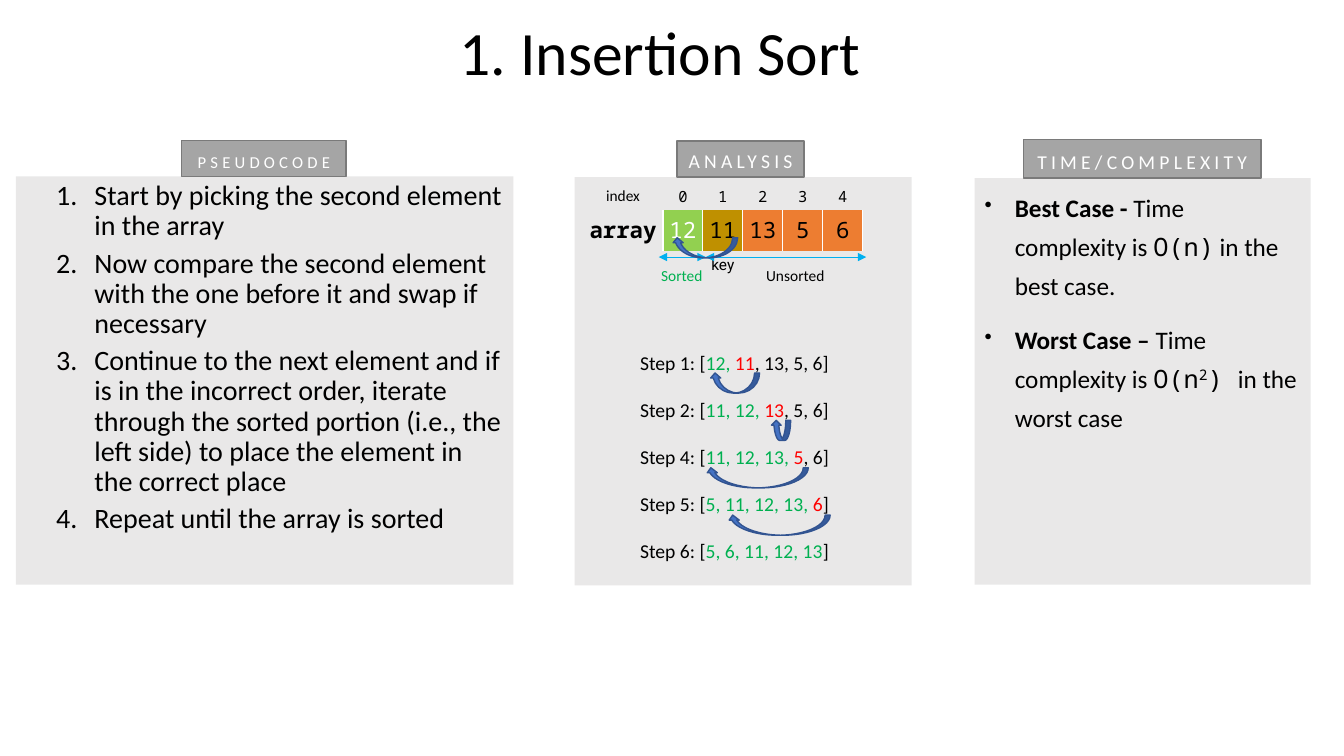
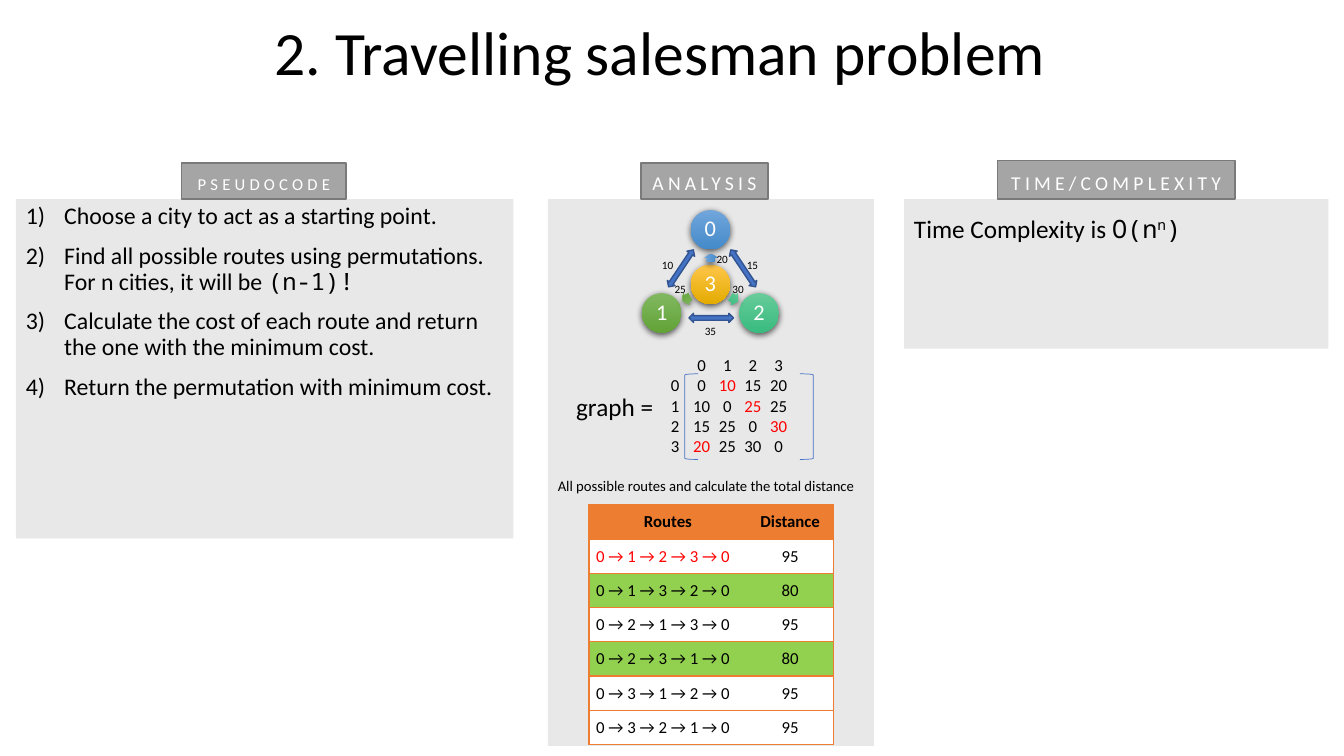
from dataclasses import dataclass
from itertools import permutations
from typing import NamedTuple, Optional

from lxml import etree
from pptx import Presentation
from pptx.dml.color import RGBColor
from pptx.enum.shapes import MSO_CONNECTOR, MSO_SHAPE
from pptx.enum.text import MSO_ANCHOR, PP_ALIGN
from pptx.oxml.ns import qn
from pptx.util import Emu, Inches, Pt

RECT, OVAL = MSO_SHAPE.RECTANGLE, MSO_SHAPE.OVAL
CURVE, BOTH, RIGHT = MSO_SHAPE.CURVED_DOWN_ARROW, MSO_SHAPE.LEFT_RIGHT_ARROW, MSO_SHAPE.RIGHT_ARROW
OPEN, CLOSE = MSO_SHAPE.LEFT_BRACKET, MSO_SHAPE.RIGHT_BRACKET
STRAIGHT = MSO_CONNECTOR.STRAIGHT
TOP, MIDDLE, BOTTOM = MSO_ANCHOR.TOP, MSO_ANCHOR.MIDDLE, MSO_ANCHOR.BOTTOM
LEFT, CENTER = PP_ALIGN.LEFT, PP_ALIGN.CENTER

BLACK, WHITE = RGBColor(0, 0, 0), RGBColor(255, 255, 255)
PALE, GREY, EDGE = RGBColor(0xE9, 0xE8, 0xE8), RGBColor(0xA5, 0xA5, 0xA5), RGBColor(0x7A, 0x7A, 0x7A)
RED, GREEN, LIME = RGBColor(0xFF, 0, 0), RGBColor(0, 0xB0, 0x50), RGBColor(0x92, 0xD0, 0x50)
ORANGE, OCHRE = RGBColor(0xED, 0x7D, 0x31), RGBColor(0xBF, 0x90, 0)
BLUE, NAVY, CYAN = RGBColor(0x44, 0x72, 0xC4), RGBColor(0x32, 0x54, 0x91), RGBColor(0, 0xB0, 0xF0)
SANS, MONO, KEY_FONT = "Calibri", "Noto Sans Mono", "Roboto"
PLAIN = "{2D5ABB26-0587-4C30-8999-92F81FD0307C}"

deck = Presentation()
deck.slide_width, deck.slide_height = Inches(13.33), Inches(7.5)
CELL = deck.slide_height / 90  # a square grid, 160 columns by 90 rows


class Bit(NamedTuple):
    """A stretch of text in one look."""
    text: str
    color: RGBColor = BLACK
    bold: bool = False
    font: str = SANS
    raised: bool = False


class Box(NamedTuple):
    """Left, top, width and height in grid cells."""
    left: float
    top: float
    wide: float
    high: float


class Look(NamedTuple):
    """Paragraph layout: points for sizes and gaps, inches for indents."""
    size: float
    align: PP_ALIGN = LEFT
    lead: float = 1.0
    before: float = 0
    after: float = 0
    mark: str = ""
    kind: str = ""
    margin: float = 0
    hang: float = 0


@dataclass
class Panel:
    """A grey panel with its tag on top."""
    tag: str
    box: Box
    tag_left: float
    tag_wide: float
    tag_high: float = 4.3
    tag_size: float = 14


class Node(NamedTuple):
    """A city, with the light and dark end of its gradient."""
    name: str
    left: float
    top: float
    light: str
    dark: str


def grid(*cells: float) -> list[Emu]:
    """Turn grid cells into lengths."""
    return [Emu(round(n * CELL)) for n in cells]


def add(parent, tag: str, **attrs: str):
    """Append an element of the drawing namespace."""
    return etree.SubElement(parent, qn("a:" + tag), attrs)


def write(par, bits: list[Bit], look: Look) -> None:
    """Fill a paragraph with bits and lay it out."""
    for bit in bits:
        run = par.add_run()
        run.text = bit.text
        run.font.name, run.font.size = bit.font, Pt(look.size)
        run.font.bold, run.font.color.rgb = bit.bold, bit.color
        if bit.raised:
            run.font._element.set("baseline", "30000")
    par.alignment, par.line_spacing = look.align, look.lead
    par.space_before, par.space_after = Pt(look.before), Pt(look.after)
    if look.kind:
        props = par._p.get_or_add_pPr()
        props.set("marL", str(Inches(look.margin)))
        props.set("indent", str(Inches(-look.hang)))
        if look.kind == "buChar":
            add(props, "buSzPct", val="85000")
            add(props, "buChar", char=look.mark)
        else:
            add(props, "buAutoNum", type=look.mark)


def fill_text(frame, lines: list[list[Bit]], look: Look, anchor: MSO_ANCHOR = TOP, wrap: bool = True) -> None:
    """Write lines into a text frame, one paragraph each."""
    frame.word_wrap, frame.vertical_anchor = wrap, anchor
    for n, bits in enumerate(lines):
        write(frame.add_paragraph() if n else frame.paragraphs[0], bits, look)


def label(slide, box: Box, lines: list[list[Bit]], look: Look) -> None:
    """Place a text box."""
    fill_text(slide.shapes.add_textbox(*grid(*box)).text_frame, lines, look)


def shape(slide, kind: MSO_SHAPE, box: Box, fill: Optional[RGBColor] = None,
          line: Optional[RGBColor] = None, weight: float = 1, turn: float = 0):
    """Draw a preset shape without shadow."""
    item = slide.shapes.add_shape(kind, *grid(*box))
    item.shadow.inherit = False
    item.rotation = turn
    if fill is None:
        item.fill.background()
    else:
        item.fill.solid()
        item.fill.fore_color.rgb = fill
    if line is None:
        item.line.fill.background()
    else:
        item.line.color.rgb, item.line.width = line, Pt(weight)
    return item


def glow(item, light: str, dark: str) -> None:
    """Give a shape a downward gradient and a soft shadow."""
    item.fill.gradient()
    item.fill.gradient_angle = 270
    for stop, shade, place in zip(item.fill.gradient_stops, (light, dark), (0, 1)):
        stop.color.rgb, stop.position = RGBColor.from_string(shade), place
    effects = item._element.spPr.find(qn("a:effectLst"))
    cast = add(effects, "outerShdw", blurRad="57150", dist="19050", dir="5400000", algn="ctr", rotWithShape="0")
    add(add(cast, "srgbClr", val="000000"), "alpha", val="63000")


def span(slide, start: float, end: float, row: float) -> None:
    """Draw a level line with an arrowhead at each end."""
    line = slide.shapes.add_connector(STRAIGHT, *grid(start, row, end, row))
    line.line.color.rgb, line.line.width = CYAN, Pt(0.5)
    for end_tag in ("headEnd", "tailEnd"):
        add(line.line._get_or_add_ln(), end_tag, type="triangle")
    add(line._element.spPr, "effectLst")


def table(slide, left: float, top: float, cols: list[float], rows: list[float]):
    """Add a table without style."""
    frame = slide.shapes.add_table(len(rows), len(cols), *grid(left, top, sum(cols), sum(rows)))
    item = frame.table
    item.first_row = item.horz_banding = False
    item._tbl.tblPr.find(qn("a:tableStyleId")).text = PLAIN
    for tracks, sizes, side in ((item.columns, cols, "width"), (item.rows, rows, "height")):
        for track, size in zip(tracks, grid(*sizes)):
            setattr(track, side, size)
    return item


def put(cell, bit: Bit, look: Look, pad: float, fill: Optional[RGBColor] = None,
        edge: Optional[RGBColor] = None, sides: str = "LRTB") -> None:
    """Fill one table cell, with borders on the given sides."""
    cell.margin_left = cell.margin_right = cell.margin_top = cell.margin_bottom = Inches(pad)
    par = cell.text_frame.paragraphs[0]
    if bit.text:
        write(par, [bit], look)
    else:
        par._p.get_or_add_endParaRPr().set("sz", str(look.size * 100))
    for side in sides if edge is not None else "":
        line = add(cell._tc.get_or_add_tcPr(), "ln" + side, w=str(Pt(1)))
        add(add(line, "solidFill"), "srgbClr", val=str(edge))
    if fill is None:
        cell.fill.background()
    else:
        cell.fill.solid()
        cell.fill.fore_color.rgb = fill


def begin(title: str, panels: list[Panel]) -> tuple:
    """Start a slide with its title and panels; return it and the panel shapes."""
    slide = deck.slides.add_slide(deck.slide_layouts[5])
    head = slide.shapes.title
    head.left, head.top, head.width, head.height = grid(18, 1.2, 121.2, 10.8)
    fill_text(head.text_frame, [[Bit(title)]], Look(44, CENTER, 0.9), MIDDLE)
    bodies = []
    for panel in panels:
        bodies.append(shape(slide, RECT, panel.box, PALE))
        spot = Box(panel.tag_left, panel.box.top - panel.tag_high, panel.tag_wide, panel.tag_high)
        tag = shape(slide, RECT, spot, GREY, EDGE)
        lead = 0.8 if panel.tag_size < 14 else 1
        fill_text(tag.text_frame, [[Bit(panel.tag, WHITE)]], Look(panel.tag_size, CENTER, lead, 10), BOTTOM, False)
        tag.text_frame.paragraphs[0].runs[0].font._element.set("spc", "300")
    return slide, bodies


def trio(top: float, pseudo: float, study: Box, study_tag: float, time: Box, time_tag: float) -> list[Panel]:
    """List the three panels that each slide has."""
    return [Panel("PSEUDOCODE", Box(1.9, top, 59.2, pseudo), 21.6, 19.6, tag_size=11.9),
            Panel("ANALYSIS", study, study_tag, 15.1),
            Panel("TIME/COMPLEXITY", time, time_tag, 28.3, 4.6)]


def sorting() -> None:
    """Build the insertion sort slide."""
    slide, (pseudo, _, time) = begin("1. Insertion Sort", trio(
        21, 48.6, Box(68.4, 21.1, 40.1, 48.6), 80.6, Box(116, 21.2, 40, 48.4), 121.8))
    fill_text(pseudo.text_frame, [[Bit(text)] for text in (
        "Start by picking the second element in the array",
        "Now compare the second element with the one before it and swap if necessary",
        "Continue to the next element and if is in the incorrect order, iterate through the sorted "
        "portion (i.e., the left side) to place the element in the correct place",
        "Repeat until the array is sorted")],
        Look(20, LEFT, 0.9, 5, 0, "arabicPeriod", "buAutoNum", 0.68, 0.38))
    fill_text(time.text_frame, [
        [Bit("Best Case -", bold=True), Bit(" Time complexity is "), Bit("O(n)", font=MONO),
         Bit(" in the best case.")],
        [Bit("Worst Case –", bold=True), Bit(" Time complexity is "), Bit("O(n", font=MONO),
         Bit("2", font=MONO, raised=True), Bit(") ", font=MONO), Bit("in the worst case")]],
        Look(18, LEFT, 1.3, 10, 0, "•", "buChar", 0.3, 0.3))

    steps = [("1", "12, ", "11", ", 13, 5, 6]"), ("2", "11, 12, ", "13", ", 5, 6]"),
             ("4", "11, 12, 13, ", "5", ", 6]"), ("5", "5, 11, 12, 13, ", "6", "]"),
             ("6", "5, 6, 11, 12, 13", "", "]")]
    label(slide, Box(75, 41.2, 28.8, 26.6), [
        [bit for bit in (Bit(f"Step {n}: ["), Bit(done, GREEN), Bit(key, RED), Bit(rest)) if bit.text]
        for n, done, key, rest in steps], Look(14, after=16.7))

    array = table(slide, 69.4, 21.6, [9.5] + [4.76] * 5, [3.4, 4.9, 3.4])
    small, large = Look(11, CENTER), Look(16, CENTER)
    fills = [None, LIME, OCHRE, ORANGE, ORANGE, ORANGE]
    for n, (name, value) in enumerate(zip(["index", *"01234"], ["array", "12", "11", "13", "5", "6"])):
        put(array.cell(0, n), Bit(name, font=MONO if n else SANS), small, 0.05)
        put(array.cell(1, n), Bit(value, WHITE if n == 1 else BLACK, n == 0, MONO), large, 0.05,
            fills[n], WHITE if n else None, "LR")
        put(array.cell(2, n), Bit("key" if n == 2 else "", font=KEY_FONT), small, 0.05)
    span(slide, 78.4, 84, 30.6)
    span(slide, 84, 103.1, 30.6)
    for word, left, color in (("Sorted", 77.5, GREEN), ("Unsorted", 90, BLACK)):
        label(slide, Box(left, 31.1, 12, 3.5), [[Bit(word, color)]], Look(11))
    shape(slide, CURVE, Box(80, 28.3, 7.8, 2.4), BLUE, NAVY, turn=180)
    for n, (left, wide) in enumerate([(84.5, 5.9), (91.8, 2.3), (84, 12.2), (86.6, 12.2)]):
        shape(slide, CURVE, Box(left, 44.4 + 5.64 * n, wide, 2.4), BLUE, NAVY, turn=180)


def network(slide) -> None:
    """Draw the four cities and the roads between them."""
    nodes = [Node("3", 82.2, 31.5, "FFC64B", "E3AB00"), Node("0", 82.2, 25, "71A6DB", "448ACA"),
             Node("2", 88, 34.9, "67CC9A", "39BB7F"), Node("1", 76.4, 34.9, "81B861", "62A336")]
    for node in nodes:
        disc = shape(slide, OVAL, Box(node.left, node.top, 4.7, 4.7), WHITE)
        glow(disc, node.light, node.dark)
        frame = disc.text_frame
        frame.margin_left = frame.margin_right = frame.margin_top = frame.margin_bottom = 0
        fill_text(frame, [[Bit(node.name, WHITE)]], Look(16, CENTER, 0.9), MIDDLE, False)
    for node, left, top, turn in zip(nodes[1:], (84.1, 86.9, 81.2), (29.9, 34.8, 34.8), (270, 30, 150)):
        spoke = shape(slide, RIGHT, Box(left, top, 1, 1.6), WHITE, turn=turn)
        spoke.adjustments[0] = 0.6
        glow(spoke, node.light, node.dark)
    for left, top, turn in ((85.8, 31.4, 56.2), (78.4, 31.4, 303.8), (82, 37.3, 0)):
        shape(slide, BOTH, Box(left, top, 5.3, 1.1), BLUE, NAVY, turn=turn)
    for cost, left, top in ((10, 77.6, 30.2), (15, 87.7, 30.2), (35, 82.7, 38),
                            (20, 84.1, 29.5), (30, 86, 33), (25, 79.1, 33)):
        label(slide, Box(left, top, 4, 2.9), [[Bit(str(cost))]], Look(8))


def travel() -> None:
    """Build the travelling salesman slide."""
    slide, (pseudo, _, time) = begin("2. Travelling salesman problem", trio(
        23.7, 40.4, Box(65.2, 23.7, 38.8, 65.1), 76.3, Box(107.6, 23.7, 50.5, 17.8), 118.7))
    fill_text(pseudo.text_frame, [
        [Bit("Choose a city to act as a starting point.")],
        [Bit("Find all possible routes using permutations. For n cities, it will be "), Bit("(n-1)!", font=MONO)],
        [Bit("Calculate the cost of each route and return the one with the minimum cost.")],
        [Bit("Return the permutation with minimum cost.")]],
        Look(17, LEFT, 0.9, 10, 0, "arabicParenR", "buAutoNum", 0.38, 0.38))
    fill_text(time.text_frame, [[Bit("Time Complexity is "), Bit("O(n", font=MONO),
                                 Bit("n", font=MONO, raised=True), Bit(")", font=MONO)]],
              Look(18, LEFT, 1.3, 10))
    network(slide)

    label(slide, Box(67.4, 46, 11.8, 4.8), [[Bit("graph =")]], Look(18))
    costs = [["", 0, 1, 2, 3], [0, 0, 10, 15, 20], [1, 10, 0, 25, 25], [2, 15, 25, 0, 30], [3, 20, 25, 30, 0]]
    tour = {(1, 2), (2, 3), (3, 4), (4, 1)}
    matrix = table(slide, 78.7, 42.3, [3.3] + [3.05] * 4, [2.43] * 5)
    for r, row in enumerate(costs):
        for c, cost in enumerate(row):
            put(matrix.cell(r, c), Bit(str(cost), RED if (r, c) in tour else BLACK), Look(12, CENTER), 0)
    for kind, left in ((OPEN, 81.5), (CLOSE, 95.2)):
        shape(slide, kind, Box(left, 44.5, 1.6, 10.2), None, BLUE, 0.5)

    label(slide, Box(65.2, 56.2, 39.7, 3.4), [[Bit("All possible routes and calculate the total distance")]],
          Look(10.5))
    routes = table(slide, 70.1, 60.1, [18.8, 10.3], [4.07] * 7)
    for c, name in enumerate(("Routes", "Distance")):
        put(routes.cell(0, c), Bit(name, bold=True), Look(12, CENTER), 0.07, ORANGE, ORANGE, ("LTB", "RTB")[c])
    for r, (stops, total) in enumerate(zip(permutations("123"), (95, 80, 95, 80, 95, 95)), 1):
        fill = LIME if total == 80 else WHITE
        route = Bit(" → ".join(["0", *stops, "0"]), RED if r == 1 else BLACK)
        put(routes.cell(r, 0), route, Look(12), 0.07, fill, ORANGE, "LTB")
        put(routes.cell(r, 1), Bit(str(total)), Look(12, CENTER), 0.07, fill, ORANGE, "RTB")


sorting()
travel()
deck.save("out.pptx")
